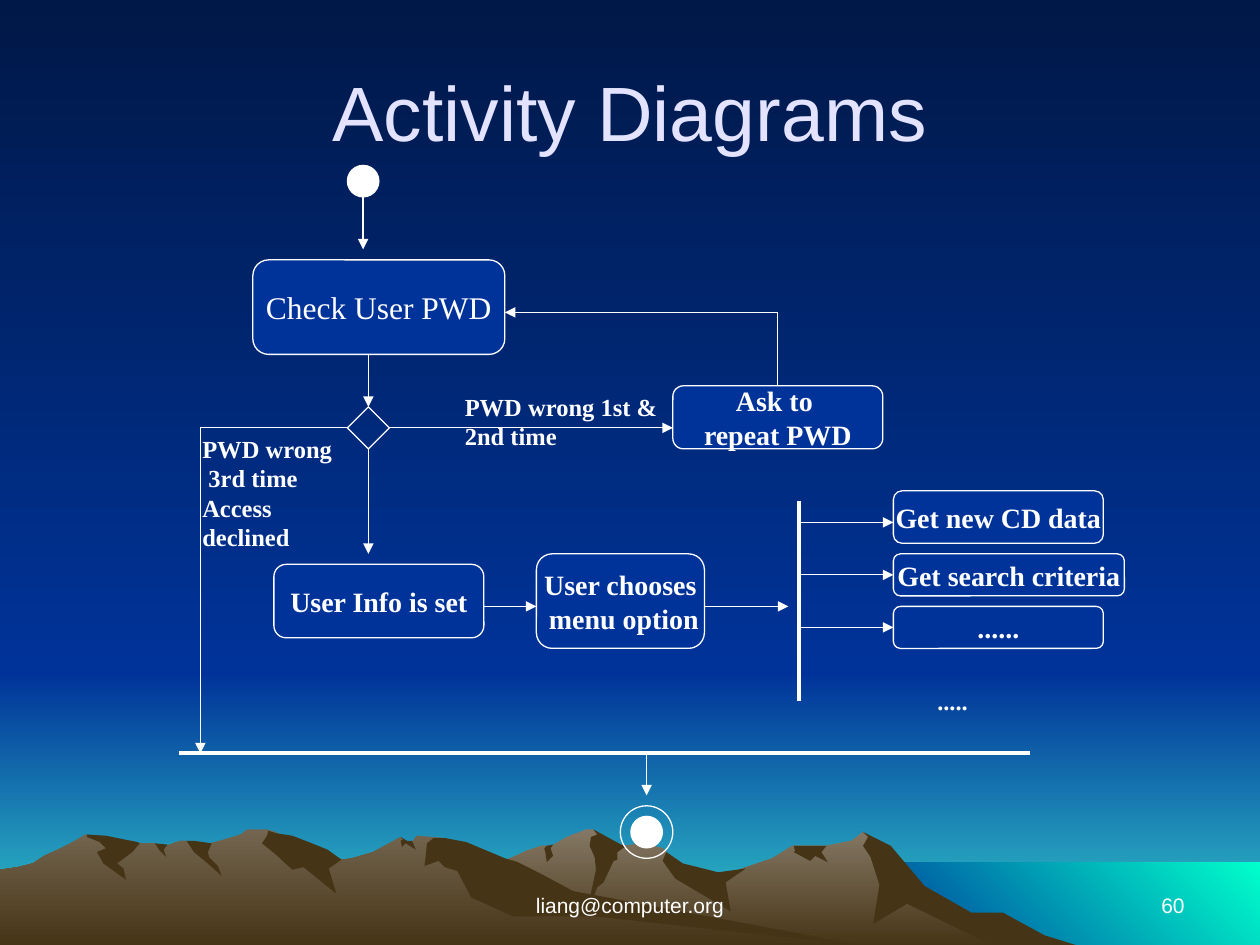
from lxml.etree import SubElement
from pptx import Presentation
from pptx.dml.color import RGBColor
from pptx.enum.shapes import MSO_CONNECTOR as CONNECTOR, MSO_SHAPE as SHAPE
from pptx.enum.text import MSO_ANCHOR as ANCHOR, PP_ALIGN as ALIGN
from pptx.oxml.ns import qn
from pptx.util import Pt

NIGHT, BLUE, TEAL, MINT = "001847", "003399", "33CCCC", "00FFCC"
STONE, EARTH, SHADE = "847864", "73654F", "463416"
WHITE, LILAC = "FFFFFF", "E3E3FF"

# Outlines use a grid of 0.72 pt, from the top left of the mountain band.
GRID = 0.72
RIGHT_RANGE = [
    (802, 82), (778, 69), (764, 65), (723, 40), (702, 13), (685, 2), (676, 9), (656, 13),
    (629, 13), (613, 23), (566, 39), (536, 32), (529, 18), (526, 15), (509, 11), (497, 13),
    (486, 15), (474, 3), (471, 0), (465, 0), (450, 6), (438, 13), (430, 13), (418, 17),
    (405, 23), (394, 27), (355, 40), (327, 51), (277, 81), (258, 93), (821, 93)]
RIGHT_SHADOWS = [
    [(796, 66), (771, 66), (734, 45), (707, 13), (685, 2), (689, 6), (685, 13), (691, 22),
     (698, 44), (693, 75), (720, 59), (792, 94), (858, 93), (829, 84)],
    [(471, 0), (474, 4), (469, 6), (468, 13), (472, 22), (473, 32), (465, 69), (474, 46),
     (479, 42), (487, 25), (490, 24), (490, 18), (497, 13), (493, 12)],
    [(529, 18), (528, 20), (526, 25), (536, 39), (580, 65), (576, 42), (592, 31), (570, 34),
     (542, 27)],
    [(650, 13), (630, 13), (631, 17), (630, 18), (643, 25), (647, 21), (657, 26), (652, 18),
     (656, 13)],
    [(433, 19), (432, 15), (434, 13), (439, 12), (437, 15), (439, 21), (434, 26)],
]
LEFT_RANGE = [
    (690, 93), (667, 90), (432, 54), (354, 7), (331, 5), (327, 10), (323, 10), (318, 6),
    (296, 18), (279, 23), (271, 24), (260, 18), (236, 23), (223, 5), (219, 2), (212, 0),
    (196, 0), (191, 4), (178, 8), (160, 13), (148, 9), (143, 9), (132, 13), (128, 13),
    (123, 11), (111, 11), (94, 13), (68, 4), (56, 11), (46, 16), (35, 21), (26, 27),
    (14, 30), (0, 32), (0, 93)]
LEFT_SHADOWS = [
    [(212, 5), (208, 11), (219, 20), (232, 32), (241, 30), (267, 51), (261, 31), (271, 24),
     (260, 16), (245, 10), (232, 5), (219, 3), (213, 1)],
    [(370, 10), (354, 7), (344, 7), (339, 11), (337, 29), (348, 25), (353, 30), (363, 33),
     (374, 54), (407, 69), (472, 69), (690, 93), (455, 49), (427, 34), (411, 26), (401, 23)],
    [(318, 9), (320, 8), (318, 6), (323, 9), (327, 9), (330, 16), (322, 11), (319, 14)],
    [(154, 9), (168, 11), (165, 18), (166, 22), (173, 29), (176, 37), (165, 27), (154, 18),
     (148, 9)],
    [(133, 12), (130, 16), (132, 22), (127, 17), (123, 11)],
    [(109, 10), (111, 11), (105, 18), (93, 27), (98, 31), (100, 40), (82, 27), (77, 18),
     (84, 15), (79, 10), (69, 6), (69, 4), (84, 5), (94, 7)],
]


def color(hex_code):
    return RGBColor.from_string(hex_code)


def paint(fill, *colors, angle=90):
    """Fill with one colour, with a clockwise gradient of two, or not at all."""
    if len(colors) == 2:
        fill.gradient()
        fill.gradient_angle = 360 - angle
        for stop, hex_code in zip(fill.gradient_stops, colors):
            stop.color.rgb = color(hex_code)
    elif colors:
        fill.solid()
        fill.fore_color.rgb = color(colors[0])
    else:
        fill.background()


def write(shape, text, size, font="Times New Roman", bold=False, hex_code=WHITE,
          align=ALIGN.LEFT, anchor=ANCHOR.TOP, wrap=True):
    frame = shape.text_frame
    frame.text = text
    frame.word_wrap = wrap
    frame.vertical_anchor = anchor
    for paragraph in frame.paragraphs:
        paragraph.alignment = align
        for run in paragraph.runs:
            run.font.name, run.font.size, run.font.bold = font, Pt(size), bold
            run.font.color.rgb = color(hex_code)


def add_box(slide, kind, left, top, width, height):
    shape = slide.shapes.add_shape(kind, Pt(left), Pt(top), Pt(width), Pt(height))
    shape.shadow.inherit = False
    return shape


def add_label(slide, left, top, width, height, text, size, **style):
    label = slide.shapes.add_textbox(Pt(left), Pt(top), Pt(width), Pt(height))
    write(label, text, size, **style)


def add_backdrop(slide, left, top, width, height):
    paint(slide.background.fill, NIGHT, BLUE)
    horizon = 384
    bands = [
        (0, horizon, width, height - horizon, (BLUE, TEAL), 90),
        (0, 0, width, horizon, (NIGHT, BLUE), 90),
        (492, 493, 228, 48, (BLUE, MINT), 315),
    ]
    for x, y, band_width, band_height, colors, angle in bands:
        band = add_box(slide, SHAPE.RECTANGLE, left + x, top + y, band_width, band_height)
        paint(band.fill, *colors, angle=angle)
        band.line.fill.background()


def add_mountains(slide, left, top):
    def outline(points, *colors):
        builder = slide.shapes.build_freeform(*points[0], scale=Pt(GRID))
        builder.add_line_segments(points[1:], close=True)
        shape = builder.convert_to_shape(Pt(left), Pt(top))
        shape.shadow.inherit = False
        paint(shape.fill, *colors)
        shape.line.fill.background()

    for mountains, light, shadows in [(RIGHT_RANGE, STONE, RIGHT_SHADOWS),
                                      (LEFT_RANGE, EARTH, LEFT_SHADOWS)]:
        outline(mountains, light, SHADE)
        for shadow in shadows:
            outline(shadow, SHADE)


def add_title(slide, left, top, width, height):
    title = slide.shapes.title
    title.left, title.top, title.width, title.height = map(Pt, (left, top, width, height))
    write(title, "Activity Diagrams", 44, "Arial", hex_code=LILAC,
          align=ALIGN.CENTER, anchor=ANCHOR.MIDDLE)
    title.element.getparent().append(title.element)  # in front of the backdrop


def add_footer(slide, left, top, height):
    style = dict(font="Arial", anchor=ANCHOR.BOTTOM)
    add_label(slide, left, top, 228, height, "liang@computer.org", 12,
              align=ALIGN.CENTER, **style)
    add_label(slide, left + 270, top, 168, height, "60", 12, align=ALIGN.RIGHT, **style)


def add_activity_diagram(slide, left, top):
    def node(kind, x, y, width, height, *colors):
        shape = add_box(slide, kind, left + x, top + y, width, height)
        paint(shape.fill, *colors)
        shape.line.color.rgb, shape.line.width = color(WHITE), Pt(0.75)
        return shape

    def activity(x, y, width, height, text, size=16, bold=True):
        shape = node(SHAPE.ROUNDED_RECTANGLE, x, y, width, height, BLUE)
        write(shape, text, size, bold=bold, align=ALIGN.CENTER,
              anchor=ANCHOR.MIDDLE, wrap=False)
        return shape

    def line(x1, y1, x2, y2, width=0.75):
        connector = slide.shapes.add_connector(
            CONNECTOR.STRAIGHT, Pt(left + x1), Pt(top + y1), Pt(left + x2), Pt(top + y2))
        connector.line.color.rgb, connector.line.width = color(WHITE), Pt(width)
        SubElement(connector.element.spPr, qn("a:effectLst"))
        return connector

    def arrow(*ends):
        connector = line(*ends)
        outline = connector.element.spPr.find(qn("a:ln"))
        SubElement(outline, qn("a:tailEnd"), type="triangle")
        return connector

    def note(x, y, width, height, text):
        add_label(slide, left + x, top + y, width, height, text, 14, bold=True)

    node(SHAPE.OVAL, 96, 0, 18, 18, WHITE)
    arrow(105, 18, 105, 48)
    activity(42, 54, 144, 54, "Check User PWD", 18, False)
    decision = node(SHAPE.DIAMOND, 96, 138, 24, 24)
    arrow(108, 108, 108, 138).end_connect(decision, 0)

    repeat = activity(282, 126, 120, 36, "Ask to \nrepeat PWD")
    arrow(120, 150, 282, 150).begin_connect(decision, 3)
    line(342, 126, 342, 84).begin_connect(repeat, 0)
    arrow(342, 84, 186, 84)
    note(156, 126, 132, 41, "PWD wrong 1st & 2nd time")

    line(96, 150, 12, 150).begin_connect(decision, 1)
    arrow(12, 150, 12, 336)
    note(6, 150, 96, 75, "PWD wrong\n 3rd time\nAccess declined")

    arrow(108, 162, 108, 222).begin_connect(decision, 2)
    activity(54, 228, 120, 42, "User Info is set")
    arrow(174, 252, 204, 252)
    activity(204, 222, 96, 54, "User chooses\n menu option")
    arrow(300, 252, 348, 252)

    line(354, 192, 354, 306, 2.25)
    options = [(186, 120, 30, "Get new CD data"), (222, 132, 24, "Get search criteria"),
               (252, 120, 24, "......")]
    for index, (y, width, height, text) in enumerate(options):
        option = activity(408, y, width, height, text)
        branch_y = 204 + 30 * index
        branch = arrow(354, branch_y, 408, branch_y)
        if branch_y == y + height / 2:
            branch.end_connect(option, 1)
    note(426, 294, 132, 24, ".....")

    line(0, 336, 486, 336, 2.25)
    arrow(267, 336, 267, 360)
    node(SHAPE.OVAL, 252, 366, 30, 30)
    node(SHAPE.OVAL, 258, 372, 18, 18, WHITE)


def main():
    deck = Presentation()
    deck.slide_width, deck.slide_height = Pt(720), Pt(540)
    slide = deck.slides.add_slide(deck.slide_layouts[5])
    add_backdrop(slide, 0, 0, 720, 540)
    add_mountains(slide, 0, 474)
    add_footer(slide, 246, 492, 36)
    add_title(slide, 36, 18, 648, 90)
    add_activity_diagram(slide, 102.5, 94.5)
    deck.save("out.pptx")


if __name__ == "__main__":
    main()
